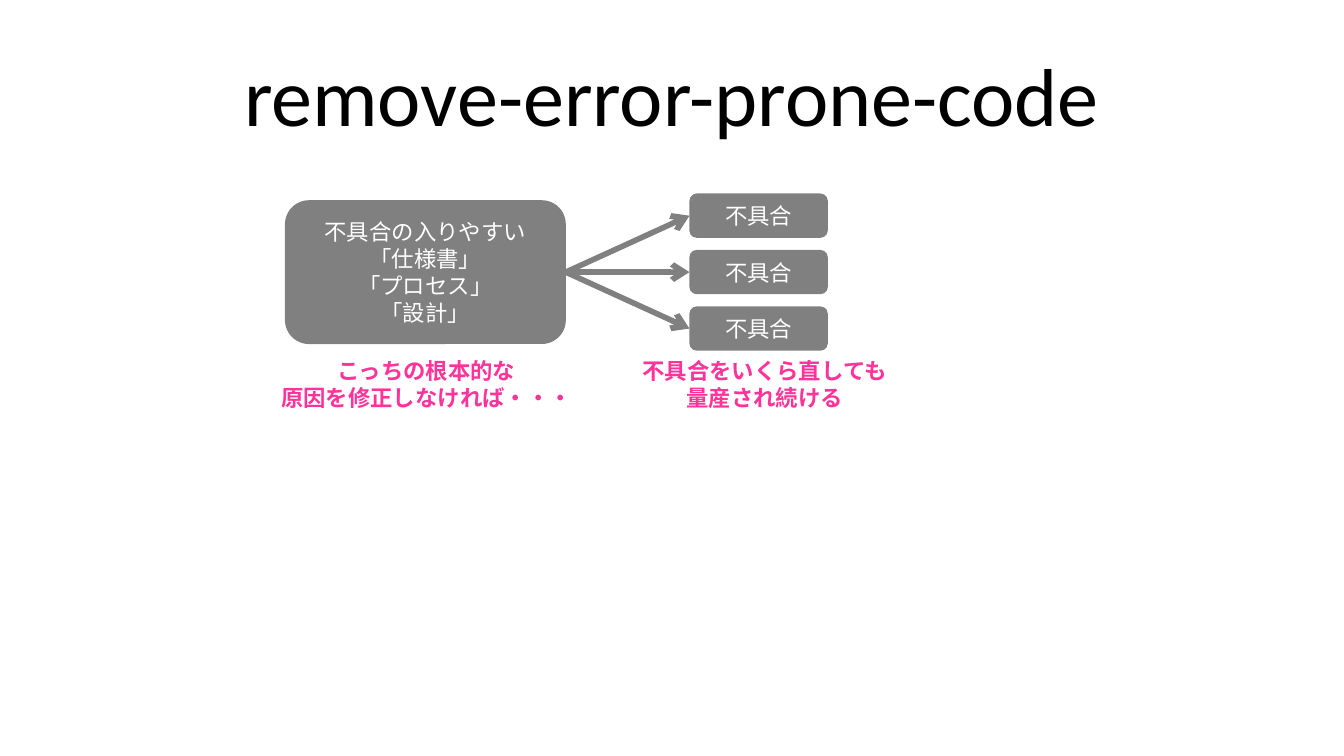
from lxml.etree import SubElement
from pptx import Presentation
from pptx.dml.color import RGBColor
from pptx.enum.shapes import MSO_CONNECTOR, MSO_SHAPE
from pptx.enum.text import MSO_ANCHOR, MSO_AUTO_SIZE, PP_ALIGN
from pptx.oxml.ns import qn
from pptx.util import Inches, Pt

BLACK = RGBColor(0x00, 0x00, 0x00)
WHITE = RGBColor(0xFF, 0xFF, 0xFF)
GRAY = RGBColor(0x80, 0x80, 0x80)
PINK = RGBColor(0xFF, 0x33, 0x99)
LATIN, JAPANESE = "Calibri", "Noto Sans CJK JP"
CELL = 0.1  # inches per grid column and row
LEFT_SITE, RIGHT_SITE = 1, 3


def grid(*cells):
    """Turn columns and rows into lengths."""
    return [Inches(n * CELL) for n in cells]


def write(p, text, size=12, color=BLACK, font=LATIN, bold=False):
    """Write centred text into a paragraph, with a line break at each newline."""
    p.alignment = PP_ALIGN.CENTER
    for i, line in enumerate(text.split("\n")):
        if i:
            p.add_line_break()
        r = p.add_run()
        r.text = line
        r.font.name, r.font.size, r.font.bold = font, Pt(size), bold
        r.font.color.rgb = color
        SubElement(r.font._element, qn("a:ea"), typeface=JAPANESE)


class Deck:
    """Holds the slide and draws its kinds of element."""

    def __init__(self, prs):
        """Add a slide with a title placeholder."""
        self.s = prs.slides.add_slide(prs.slide_layouts[5])

    def title(self, text, *box):
        """Place and fill the title."""
        sp = self.s.shapes.title
        sp.left, sp.top, sp.width, sp.height = grid(*box)
        sp.text_frame.vertical_anchor = MSO_ANCHOR.MIDDLE
        write(sp.text_frame.paragraphs[0], text, size=44)

    def box(self, paragraphs, *box):
        """Draw a gray rounded box from (text, font) paragraphs."""
        sp = self.s.shapes.add_shape(MSO_SHAPE.ROUNDED_RECTANGLE, *grid(*box))
        sp.shadow.inherit = False
        sp.fill.solid()
        sp.fill.fore_color.rgb = GRAY
        sp.line.fill.background()
        tf = sp.text_frame
        tf.vertical_anchor = MSO_ANCHOR.MIDDLE
        for i, (text, font) in enumerate(paragraphs):
            p = tf.add_paragraph() if i else tf.paragraphs[0]
            write(p, text, color=WHITE, font=font)
        return sp

    def arrow(self, source, target):
        """Join two boxes with an arrow from right side to left side."""
        line = self.s.shapes.add_connector(MSO_CONNECTOR.STRAIGHT, 0, 0, 0, 0)
        line.begin_connect(source, RIGHT_SITE)
        line.end_connect(target, LEFT_SITE)
        line.line.color.rgb = GRAY
        line.line.width = Pt(3)
        SubElement(line.line._get_or_add_ln(), qn("a:tailEnd"), type="arrow")
        SubElement(line._element.spPr, qn("a:effectLst"))

    def caption(self, text, *box):
        """Add a bold pink caption."""
        tf = self.s.shapes.add_textbox(*grid(*box)).text_frame
        tf.word_wrap = True
        tf.auto_size = MSO_AUTO_SIZE.SHAPE_TO_FIT_TEXT
        write(tf.paragraphs[0], text, color=PINK, bold=True)


def main():
    """Build and save the slide."""
    prs = Presentation()
    prs.slide_width, prs.slide_height = grid(100, 56.25)
    deck = Deck(prs)
    deck.title("remove-error-prone-code", 5, 2.3, 90, 9.4)
    cause = deck.box([("不具合の入りやすい", LATIN),
                      ("「仕様書」\n「プロセス」\n「設計」", JAPANESE)],
                     21.2, 14.9, 20.9, 10.7)
    for i in range(3):
        defect = deck.box([("不具合", LATIN)], 51.3, 14.4 + 4.2 * i, 10.3, 3.3)
        deck.arrow(cause, defect)
    deck.caption("こっちの根本的な\n原因を修正しなければ・・・", 19.1, 26.1, 25.3, 5)
    deck.caption("不具合をいくら直しても\n量産され続ける", 44.1, 26.1, 25.6, 5)
    prs.save("out.pptx")


main()
